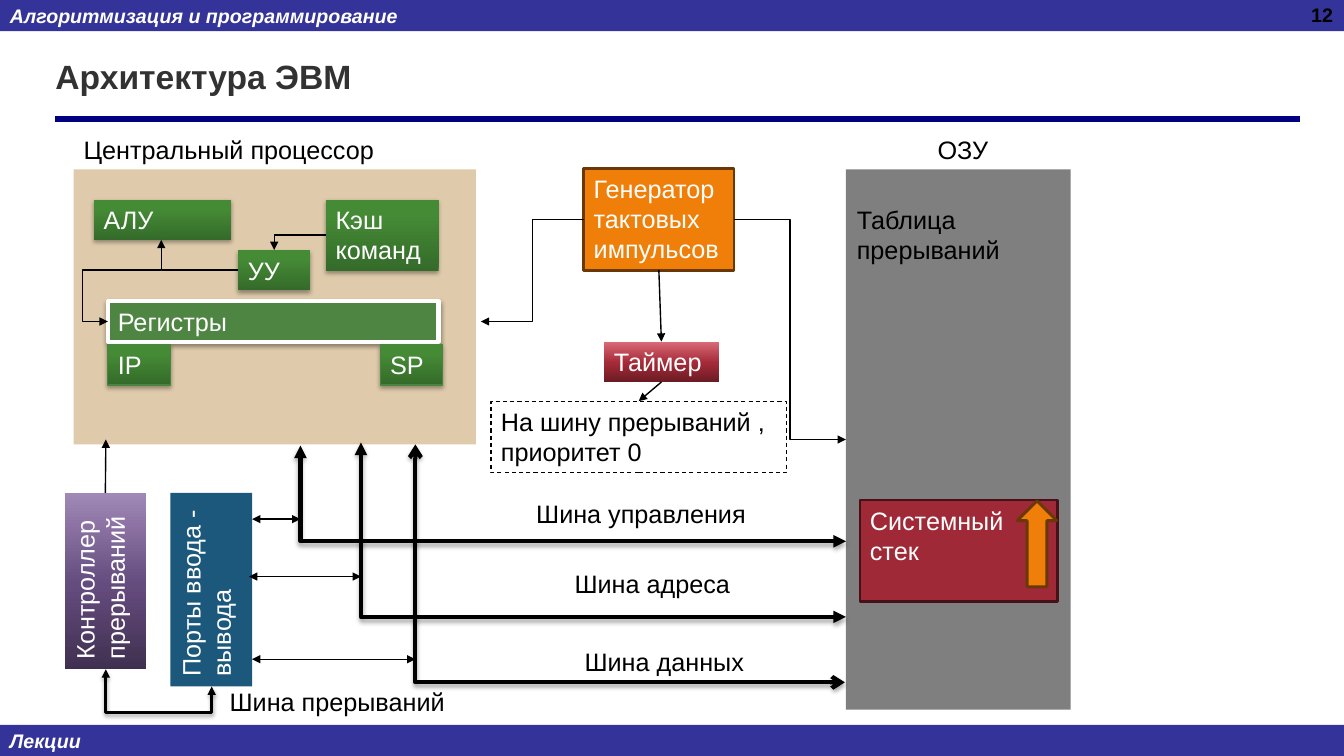
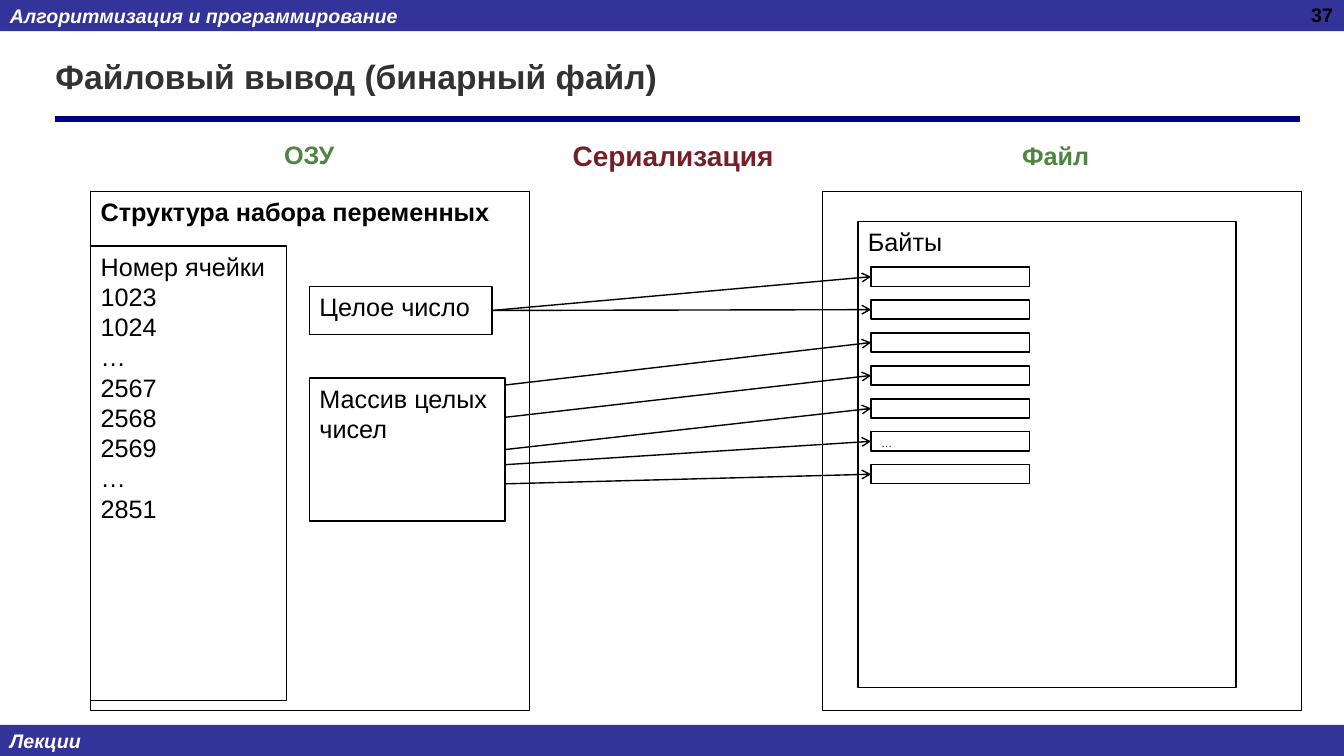
"""Build two lecture slides: computer architecture and binary file output."""
from copy import deepcopy
from dataclasses import dataclass
from typing import Optional, Union

from lxml import etree
from pptx import Presentation
from pptx.dml.color import RGBColor
from pptx.enum import dml, shapes, text
from pptx.oxml.ns import qn
from pptx.util import Inches, Pt

Point = tuple[float, float]
Gradient = tuple[tuple[float, str], ...]
LEFT, RIGHT = text.PP_ALIGN.LEFT, text.PP_ALIGN.RIGHT
TOP, MIDDLE = text.MSO_ANCHOR.TOP, text.MSO_ANCHOR.MIDDLE
RECT = shapes.MSO_SHAPE.RECTANGLE


@dataclass(frozen=True)
class Theme:
    font: str = "Arial"
    black: str = "000000"
    white: str = "FFFFFF"
    band: str = "333399"
    rule: str = "000080"
    title: str = "323232"
    tan: str = "C19859"
    green: str = "4E8542"
    green_edge: str = "4B843F"
    orange: str = "F07F09"
    orange_edge: str = "693804"
    red: str = "9F2936"
    red_edge: str = "461218"
    dark_red: str = "771F28"
    blue: str = "1B587C"
    green_grad: Gradient = ((0, "356B2A"), (0.8, "458B36"), (1, "458D35"))
    purple_grad: Gradient = ((0, "403050"), (0.48, "654C7E"), (1, "A088B7"))
    red_grad: Gradient = ((0, "6B1B24"), (0.48, "A62B39"), (1, "D96B77"))
    title_size: float = 24
    heading_size: float = 20
    body_size: float = 18
    band_size: float = 14
    cell_size: float = 8


T = Theme()


@dataclass(frozen=True)
class Box:
    text: str
    x: float
    y: float
    w: float
    h: float
    fill: Union[str, Gradient, None] = None
    line: Optional[str] = None
    weight: float = 1
    color: str = T.black
    size: float = T.body_size
    bold: bool = False
    italic: bool = False
    align: text.PP_ALIGN = LEFT
    anchor: text.MSO_ANCHOR = TOP
    alpha: int = 100
    shadow: int = 0
    dash: bool = False
    vertical: bool = False
    shape: shapes.MSO_SHAPE = RECT


@dataclass(frozen=True)
class Link:
    start: Point
    end: Point
    weight: float = 1
    head: Optional[str] = None
    tail: Optional[str] = "triangle"
    bend: Optional[float] = None
    upright: bool = False
    shadow: int = 0
    color: str = T.black
    begin: Optional[tuple[str, int]] = None
    finish: Optional[tuple[str, int]] = None


def rgb(color: str) -> RGBColor:
    """Convert a hex string to a colour."""
    return RGBColor.from_string(color)


def write(tf, content: str, *, size: float = T.body_size, color: str = T.black,
          bold: bool = False, italic: bool = False, align=LEFT, anchor=TOP) -> None:
    """Fill a text frame, one paragraph per line."""
    tf.text = content
    tf.word_wrap = True
    tf.auto_size = text.MSO_AUTO_SIZE.NONE
    tf.vertical_anchor = anchor
    for p in tf.paragraphs:
        p.alignment = align
        for r in p.runs:
            f = r.font
            f.name, f.size, f.bold, f.italic = T.font, Pt(size), bold, italic
            f.color.rgb = rgb(color)


def set_effects(sp, opacity: int) -> None:
    """Replace inherited effects by none or a soft shadow below."""
    effects = etree.SubElement(sp.element.spPr, qn("a:effectLst"))
    if opacity:
        shadow = etree.SubElement(effects, qn("a:outerShdw"), blurRad="40000",
                                  dist="23000", dir="5400000", rotWithShape="0")
        clr = etree.SubElement(shadow, qn("a:srgbClr"), val=T.black)
        etree.SubElement(clr, qn("a:alpha"), val=str(opacity * 1000))


def set_fill(sp, fill: Union[str, Gradient, None], alpha: int) -> None:
    """Apply no fill, a solid fill or a vertical gradient."""
    if fill is None:
        sp.fill.background()
    elif isinstance(fill, str):
        sp.fill.solid()
        sp.fill.fore_color.rgb = rgb(fill)
        if alpha < 100:
            clr = sp.element.spPr.find(f"{qn('a:solidFill')}/{qn('a:srgbClr')}")
            etree.SubElement(clr, qn("a:alpha"), val=str(alpha * 1000))
    else:
        sp.fill.gradient()
        sp.fill.gradient_angle = 90
        stops = sp.element.spPr.find(f"{qn('a:gradFill')}/{qn('a:gsLst')}")
        stops.append(deepcopy(stops[1]))
        for stop, (position, color) in zip(sp.fill.gradient_stops, fill):
            stop.position = position
            stop.color.rgb = rgb(color)


def draw_box(slide, b: Box):
    """Draw a box, as a text box when it has neither fill nor line."""
    frame = [Inches(v) for v in (b.x, b.y, b.w, b.h)]
    if b.fill is None and b.line is None:
        sp = slide.shapes.add_textbox(*frame)
    else:
        sp = slide.shapes.add_shape(b.shape, *frame)
        set_fill(sp, b.fill, b.alpha)
        if b.line:
            sp.line.color.rgb = rgb(b.line)
            sp.line.width = Pt(b.weight)
            if b.dash:
                sp.line.dash_style = dml.MSO_LINE.DASH
        else:
            sp.line.fill.background()
        set_effects(sp, b.shadow)
    if b.text:
        write(sp.text_frame, b.text, size=b.size, color=b.color, bold=b.bold,
              italic=b.italic, align=b.align, anchor=b.anchor)
    if b.vertical:
        sp.text_frame._txBody.bodyPr.set("vert", "vert270")
    return sp


def draw_link(slide, k: Link, boxes: dict):
    """Draw a straight or elbow connector; upright elbows leave vertically."""
    (x1, y1), (x2, y2) = k.start, k.end
    if k.upright:
        cx, cy, dx, dy = (x1 + x2) / 2, (y1 + y2) / 2, (x2 - x1) / 2, (y2 - y1) / 2
        x1, y1, x2, y2 = cx - dy, cy + dx, cx + dy, cy - dx
    kind = shapes.MSO_CONNECTOR.STRAIGHT if k.bend is None else shapes.MSO_CONNECTOR.ELBOW
    c = slide.shapes.add_connector(kind, *(Inches(v) for v in (x1, y1, x2, y2)))
    pr = c.element.spPr
    if k.upright:
        pr.find(qn("a:xfrm")).set("rot", "5400000")
    if k.bend is not None:
        guides = pr.find(f"{qn('a:prstGeom')}/{qn('a:avLst')}")
        etree.SubElement(guides, qn("a:gd"), name="adj1", fmla=f"val {round(k.bend * 100000)}")
    c.line.color.rgb = rgb(k.color)
    c.line.width = Pt(k.weight)
    for tag, arrow in (("a:headEnd", k.head), ("a:tailEnd", k.tail)):
        if arrow:
            etree.SubElement(pr.find(qn("a:ln")), qn(tag), type=arrow)
    set_effects(c, k.shadow)
    if k.begin:
        c.begin_connect(boxes[k.begin[0]], k.begin[1])
    if k.finish:
        c.end_connect(boxes[k.finish[0]], k.finish[1])
    return c


def add_bands(slide) -> None:
    """Draw the bands and title rule and move them to the slide's layout."""
    parts = [draw_box(slide, Box(label, 0, y, 13.33, 0.31, T.band, color=T.white,
                                 size=T.band_size, bold=True, italic=True, anchor=MIDDLE))
             for label, y in (("Алгоритмизация и программирование", 0), ("Лекции", 7.19))]
    parts.append(draw_link(slide, Link((0.55, 1.18), (12.89, 1.18), 4.5,
                                       tail=None, color=T.rule), {}))
    for sp in parts:
        slide.slide_layout.shapes.element.append(sp.element)


def add_slide(prs, title: str, number: int, boxes: list[Box], links: list[Link]):
    """Add a titled, numbered slide with its boxes and connectors."""
    slide = prs.slides.add_slide(prs.slide_layouts[5])
    sp = slide.shapes.title
    sp.left, sp.top, sp.width, sp.height = (Inches(v) for v in (0.45, 0.33, 12.21, 0.85))
    write(sp.text_frame, title, size=T.title_size, color=T.title, bold=True, anchor=MIDDLE)
    draw_box(slide, Box(str(number), 10.21, -0.02, 3.11, 0.52, size=T.band_size,
                        bold=True, align=RIGHT))
    drawn = {b.text: draw_box(slide, b) for b in boxes}
    for k in links:
        draw_link(slide, k, drawn)
    return slide


def unit(label: str, x: float, y: float, w: float, h: float = 0.4, edge=None) -> Box:
    """Describe a green block inside the processor."""
    return Box(label, x, y, w, h, T.green_grad, edge, 0.75, T.white, shadow=35)


def bus(x: float, top: float, right: float, y: float, arrow: str = "triangle") -> Link:
    """Describe a thick bus running down and then right to the memory."""
    return Link((x, top), (right, y), 3, arrow, arrow, bend=0, shadow=35)


def architecture_slide(prs):
    """Build the computer architecture diagram."""
    generator, timer = "Генератор тактовых импульсов", "Таймер"
    controller, notice = "Контроллер прерываний", "На шину прерываний , приоритет 0"
    boxes = [
        Box("", 0.73, 1.68, 3.99, 2.73, T.tan, alpha=50),
        unit("АЛУ", 0.93, 1.98, 1.36),
        unit("УУ", 2.36, 2.48, 0.72),
        unit("Кэш команд", 3.23, 1.98, 1.12, 0.71),
        Box("Регистры", 1.07, 2.99, 3.28, 0.4, T.green, T.white, 3, T.white, shadow=38),
        unit("IP", 1.07, 3.42, 0.62, edge=T.green_edge),
        unit("SP", 3.77, 3.42, 0.62, edge=T.green_edge),
        Box("Центральный процессор", 0.73, 1.28, 3.41, 0.4),
        Box("", 8.39, 1.68, 2.23, 5.36, T.black, alpha=50),
        Box("ОЗУ", 9.2, 1.28, 0.79, 0.4),
        Box("Шина данных", 5.7, 6.36, 1.93, 0.4),
        Box("Шина адреса", 5.6, 5.59, 1.93, 0.4),
        Box("Шина управления", 5.22, 4.89, 2.33, 0.4),
        Box("Шина прерываний", 2.18, 6.76, 2.54, 0.4),
        Box(generator, 5.79, 1.67, 1.49, 1.01, T.orange, T.orange_edge, 2, T.white),
        Box("Порты ввода - вывода", 1.69, 4.89, 0.81, 1.92, T.blue, color=T.white, vertical=True),
        Box(controller, 0.64, 4.89, 0.81, 1.75, T.purple_grad, color=T.white, vertical=True),
        Box("Таблица прерываний", 8.4, 1.98, 2.21, 0.71),
        Box("Системный стек", 8.53, 4.96, 1.96, 1.01, T.red, T.red_edge, 2, T.white),
        Box("", 10.09, 4.97, 0.39, 0.85, T.orange, T.orange_edge, 2,
            shape=shapes.MSO_SHAPE.UP_ARROW),
        Box(timer, 5.99, 3.39, 1.14, 0.4, T.red_grad, color=T.white),
        Box(notice, 4.87, 3.98, 2.93, 0.71, line=T.black, weight=0.75, dash=True),
    ]
    links = [
        Link((3.23, 2.33), (2.72, 2.48), bend=1),
        Link((2.36, 2.68), (1.6, 2.38), bend=1),
        Link((1.6, 2.68), (1.07, 3.19), bend=1.47),
        bus(4.12, 4.41, 8.38, 6.77, "arrow"),
        bus(3.58, 4.39, 8.39, 6.12),
        bus(2.98, 4.42, 8.39, 5.37),
        Link((5.79, 2.18), (4.77, 3.19), bend=0.5),
        Link((7.28, 2.18), (8.39, 4.36), bend=0.5),
        *(Link((x1, y), (x2, y), head="triangle")
          for x1, x2, y in ((2.5, 2.98, 5.15), (2.47, 3.58, 5.72), (2.5, 4.12, 6.54))),
        Link((2.1, 6.81), (1.05, 6.64), 2, "triangle", bend=-1.51, upright=True, shadow=38),
        Link((1.05, 4.89), (1.05, 4.36), begin=(controller, 0)),
        Link((6.54, 2.68), (6.56, 3.39), begin=(generator, 2), finish=(timer, 0)),
        Link((6.56, 3.79), (6.34, 3.98), begin=(timer, 2), finish=(notice, 0)),
    ]
    return add_slide(prs, "Архитектура ЭВМ", 12, boxes, links)


def serialization_slide(prs):
    """Build the memory-to-file serialization diagram."""
    number, cells = "Целое число", "Номер ячейки\n1023\n1024\n…\n2567\n2568\n2569\n…\n2851"
    boxes = [
        Box("Структура набора переменных", 0.9, 1.9, 4.35, 5.15, line=T.black, bold=True),
        Box("ОЗУ", 2.72, 1.33, 0.72, 0.4, color=T.green, bold=True),
        Box(cells, 0.9, 2.44, 1.94, 4.51, line=T.black),
        Box(number, 3.07, 2.84, 1.81, 0.48, line=T.black),
        Box("Массив целых чисел", 3.07, 3.75, 1.94, 1.42, line=T.black),
        Box("", 8.16, 1.9, 4.75, 5.15, line=T.black),
        Box("Файл", 10.04, 1.34, 1, 0.4, color=T.green, bold=True),
        Box("Байты", 8.51, 2.2, 3.75, 4.62, line=T.black),
        Box("Сериализация", 5.58, 1.33, 2.28, 0.44, color=T.dark_red,
            size=T.heading_size, bold=True),
    ]
    slide = add_slide(prs, "Файловый вывод (бинарный файл)", 37, boxes, [])
    drawn = {sp.text_frame.text: sp for sp in slide.shapes}
    sources = [(4.88, 3.08)] * 2 + [(5.01, y) for y in (3.82, 4.14, 4.46, 4.61, 4.8)]
    pitch = (4.61 - 2.65) / (len(sources) - 1)
    for i, source in enumerate(sources):
        y = 2.65 + i * pitch
        drawn["byte"] = draw_box(slide, Box("…" if i == 5 else "", 8.64, y, 1.57, 0.19,
                                            line=T.black, size=T.cell_size))
        draw_link(slide, Link((8.64, y + 0.1), source, head="arrow", tail=None,
                              begin=("byte", 1), finish=(number, 3) if i < 2 else None), drawn)


def main() -> None:
    """Create and save the presentation."""
    prs = Presentation()
    prs.slide_width, prs.slide_height = Inches(13.33), Inches(7.5)
    add_bands(architecture_slide(prs))
    serialization_slide(prs)
    prs.save("out.pptx")


if __name__ == "__main__":
    main()
